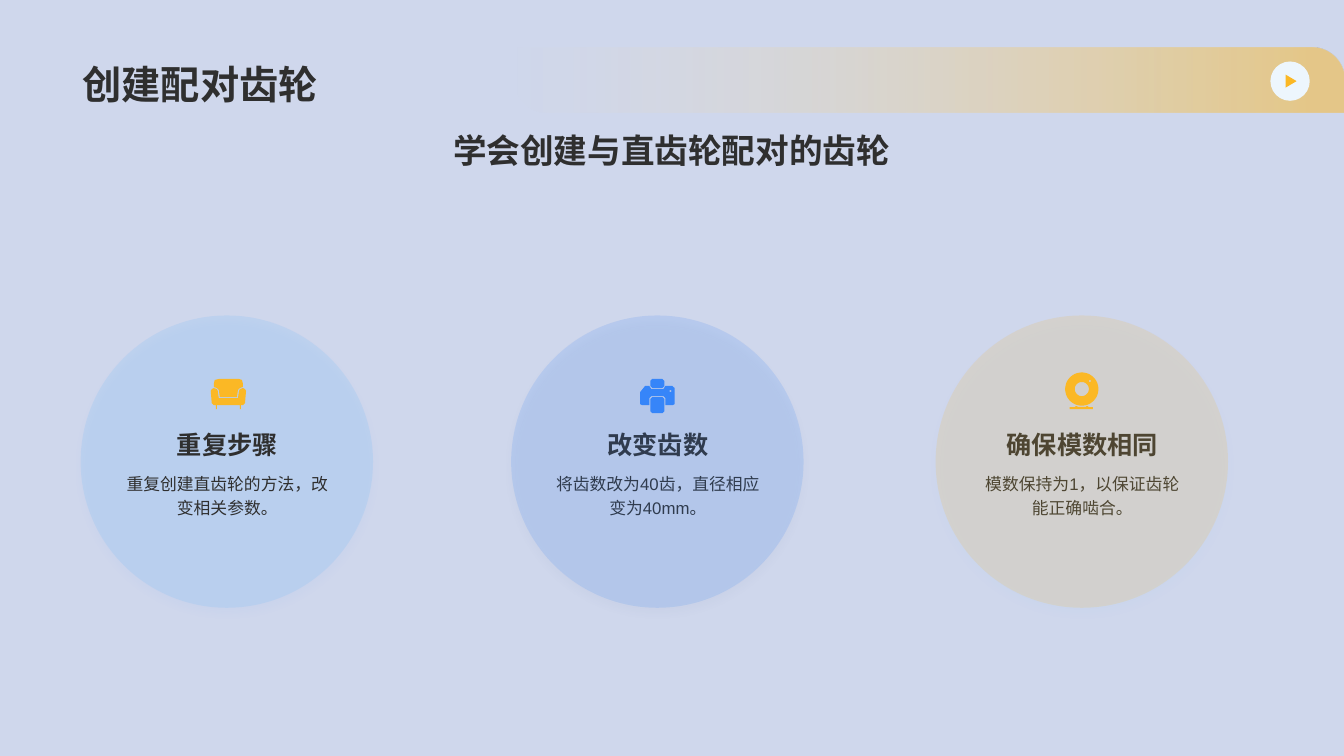
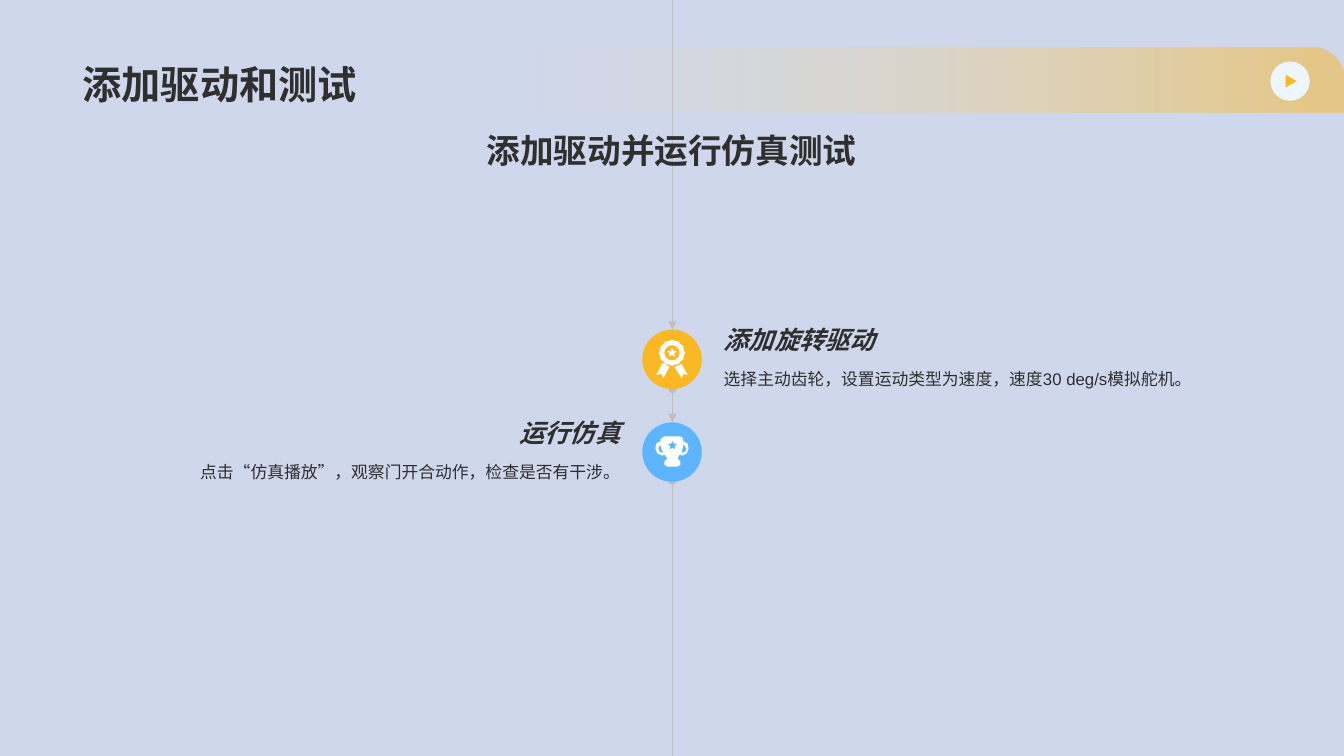
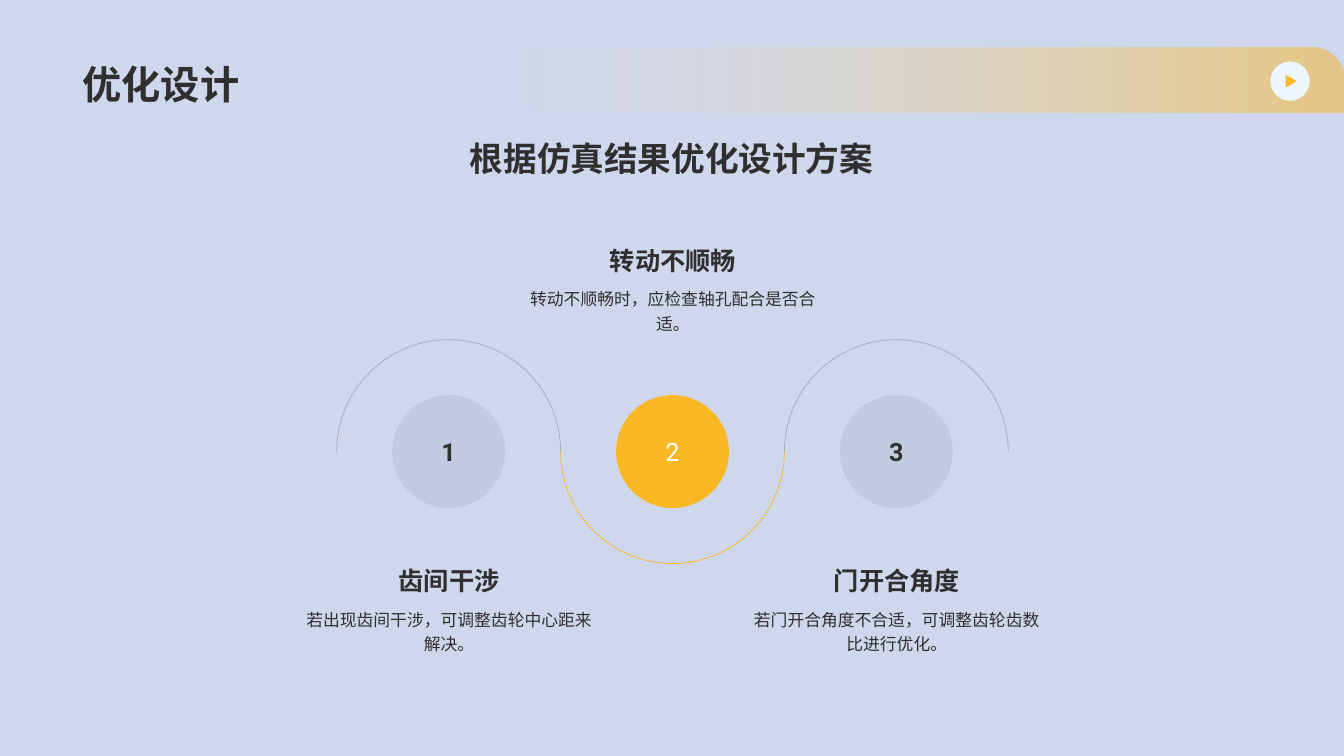
from math import cos, pi, sin

from lxml import etree
from pptx import Presentation
from pptx import util as u
from pptx.dml.color import RGBColor
from pptx.enum import shapes, text
from pptx.oxml.ns import qn

PX = 9144  # 100 px to the inch
WIDTH, HEIGHT = 1333, 750

BACKGROUND = RGBColor(0xCF, 0xD7, 0xEC)
INK = RGBColor(0x2F, 0x2F, 0x2F)
WHITE = RGBColor(0xFF, 0xFF, 0xFF)
PALE = RGBColor(0xED, 0xF6, 0xFD)
CREAM = RGBColor(0xFD, 0xE3, 0xA8)
AMBER = RGBColor(0xFB, 0xB8, 0x25)
SKY = RGBColor(0x5D, 0xB5, 0xFF)
BLUE = RGBColor(0x36, 0x85, 0xF9)
NAVY = RGBColor(0x31, 0x47, 0x7F)
SLATE = RGBColor(0x77, 0x84, 0x95)
GREY = RGBColor(0xBF, 0xBF, 0xBF)

LEFT, CENTER, RIGHT = text.PP_ALIGN.LEFT, text.PP_ALIGN.CENTER, text.PP_ALIGN.RIGHT
TOP, MIDDLE, BOTTOM = text.MSO_ANCHOR.TOP, text.MSO_ANCHOR.MIDDLE, text.MSO_ANCHOR.BOTTOM
PRESET = shapes.MSO_SHAPE


def paint(shape, color=None, alpha=100):
    """Give a shape a plain fill (none without a colour), no line and no shadow."""
    shape.shadow.inherit = False
    shape.line.fill.background()
    if color is None:
        shape.fill.background()
        return
    shape.fill.solid()
    shape.fill.fore_color.rgb = color
    if alpha < 100:
        fill_color = shape.element.spPr.find(".//" + qn("a:srgbClr"))
        etree.SubElement(fill_color, qn("a:alpha"), val=str(alpha * 1000))


def write(shape, words, size, align=CENTER, anchor=TOP, bold=False, italic=None,
          color=INK, font_name="Arial", spacing=None):
    frame = shape.text_frame
    frame.word_wrap = True
    frame.vertical_anchor = anchor
    frame.text = words
    paragraph = frame.paragraphs[0]
    paragraph.alignment = align
    paragraph.line_spacing = spacing
    font = paragraph.font
    font.name, font.size, font.bold, font.italic = font_name, u.Pt(size), bold, italic
    font.color.rgb = color


presentation = Presentation()
presentation.slide_width, presentation.slide_height = WIDTH * PX, HEIGHT * PX

# Shared look: background and title band on the layout, titles on the slides
layout = presentation.slide_layouts[5]
layout.background.fill.solid()
layout.background.fill.fore_color.rgb = BACKGROUND
for placeholder in list(layout.placeholders):
    if placeholder.placeholder_format.idx:
        layout.shapes.element.remove(placeholder.element)

headers = [
    ("创建配对齿轮", "学会创建与直齿轮配对的齿轮", 124),
    ("添加驱动和测试", "添加驱动并运行仿真测试", 124),
    ("优化设计", "根据仿真结果优化设计方案", 132),
]
slides = []
for title_words, subtitle_words, subtitle_top in headers:
    slide = presentation.slides.add_slide(layout)
    title = slide.shapes.title
    title.left, title.top, title.width, title.height = [v * PX for v in (72, 14, 1188, 98)]
    write(title, title_words, 28, LEFT, BOTTOM, bold=True)
    slides.append(slide)
gears_slide, test_slide, tuning_slide = slides

band_parts = []
for preset, box, color in [
    (PRESET.ROUND_2_DIAG_RECTANGLE, (510, 47, 823, 65), AMBER),
    (PRESET.OVAL, (1260, 61, 39, 39), PALE),
    (PRESET.ISOSCELES_TRIANGLE, (1274, 75, 13, 11), AMBER),
]:
    part = gears_slide.shapes.add_shape(preset, *[v * PX for v in box])
    paint(part, color)
    band_parts.append(part)
band, button, play_mark = band_parts
play_mark.rotation = 90
band.adjustments[0], band.adjustments[1] = 0, 0.5
band.fill.gradient()
band.fill.gradient_angle = 0
for stop, position, color, alpha in zip(
        band.fill.gradient_stops, (0, 0.96), (CREAM, AMBER), (0, 50)):
    stop.position = position
    stop.color.rgb = color
for stop_color, alpha in zip(band.element.spPr.iter(qn("a:srgbClr")), (0, 50)):
    etree.SubElement(stop_color, qn("a:alpha"), val=str(alpha * 1000))
for part in band_parts:
    layout.shapes.element.append(part.element)

# Slide 1: three circles; the last two lie over their text
circles = [
    (80, "重复步骤", "重复创建直齿轮的方法，改变相关参数。", SKY, BLUE, False),
    (507, "改变齿数", "将齿数改为40齿，直径相应变为40mm。", BLUE, NAVY, True),
    (928, "确保模数相同", "模数保持为1，以保证齿轮能正确啮合。", AMBER, SKY, True),
]
for left, heading, body, color, shadow_color, over_text in circles:
    circle = gears_slide.shapes.add_shape(PRESET.OVAL, *[v * PX for v in (left, 313, 290, 290)])
    paint(circle, color, 15)
    effects = circle.element.spPr.find(qn("a:effectLst"))
    shadow = etree.SubElement(effects, qn("a:outerShdw"), blurRad=str(u.Pt(6)),
                              dist=str(u.Pt(4)), dir="5400000", algn="t", rotWithShape="0")
    shade = etree.SubElement(shadow, qn("a:srgbClr"), val=str(shadow_color))
    etree.SubElement(shade, qn("a:alpha"), val="20000")
    box = gears_slide.shapes.add_textbox(*[v * PX for v in (left + 34, 422, 223, 39)])
    write(box, heading, 18, anchor=BOTTOM, bold=True)
    box = gears_slide.shapes.add_textbox(*[v * PX for v in (left + 34, 461, 223, 111)])
    write(box, body, 12, spacing=1.2)
    if over_text:
        gears_slide.shapes.element.append(circle.element)

# Slide 2: timeline down the middle
MIDDLE_X, BADGE = 667, 59
timeline = [
    (0, 327, {"tailEnd": "triangle"}),
    (386, 419, {"headEnd": "oval", "tailEnd": "triangle"}),
    (477, HEIGHT, {"headEnd": "oval"}),
]
for start, end, line_ends in timeline:
    connector = test_slide.shapes.add_connector(
        shapes.MSO_CONNECTOR.STRAIGHT, *[v * PX for v in (MIDDLE_X, start, MIDDLE_X, end)])
    connector.line.color.rgb = GREY
    connector.line.width = u.Pt(0.25)
    properties = connector.element.spPr
    for tag, kind in line_ends.items():
        etree.SubElement(properties.find(qn("a:ln")), qn("a:" + tag), type=kind)
    etree.SubElement(properties, qn("a:effectLst"))

steps = [
    (327, 708, LEFT, "添加旋转驱动", "选择主动齿轮，设置运动类型为速度，速度30 deg/s模拟舵机。", AMBER),
    (419, 142, RIGHT, "运行仿真", "点击“仿真播放”，观察门开合动作，检查是否有干涉。", SKY),
]
for top, left, align, heading, body, color in steps:
    box = test_slide.shapes.add_textbox(*[v * PX for v in (left, top - 58, 483, 88)])
    write(box, heading, 18, align, BOTTOM, bold=True, italic=True)
    box = test_slide.shapes.add_textbox(*[v * PX for v in (left, top + 30, 483, 177)])
    write(box, body, 12, align, spacing=1.2)
    badge = test_slide.shapes.add_shape(PRESET.OVAL, *[v * PX for v in (637, top, BADGE, BADGE)])
    paint(badge, color)

# Slide 3: a wave of half circles around numbered discs
STEP, DISC = 222, 112
UPPER_HALF, LOWER_HALF = (108, 0), (0, 108)  # arc ends, 108 being half a turn
issues = [
    ("齿间干涉", "若出现齿间干涉，可调整齿轮中心距来解决。", 547, UPPER_HALF),
    ("转动不顺畅", "转动不顺畅时，应检查轴孔配合是否合适。", 229, LOWER_HALF),
    ("门开合角度", "若门开合角度不合适，可调整齿轮齿数比进行优化。", 547, UPPER_HALF),
]
for index, (heading, body, top, half) in enumerate(issues):
    center = MIDDLE_X + (index - 1) * STEP
    highlighted = half == LOWER_HALF
    arc = tuning_slide.shapes.add_shape(
        PRESET.ARC, *[v * PX for v in (center - STEP // 2, 337, STEP, STEP)])
    paint(arc)
    arc.adjustments[0], arc.adjustments[1] = half
    arc.line.color.rgb = AMBER if highlighted else SLATE
    arc.line.width = u.Pt(0.5)
    if not highlighted:
        line_color = arc.element.spPr.find(".//" + qn("a:srgbClr"))
        etree.SubElement(line_color, qn("a:alpha"), val="50000")
    disc = tuning_slide.shapes.add_shape(
        PRESET.OVAL, *[v * PX for v in (center - DISC // 2, 392, DISC, DISC)])
    paint(disc, AMBER if highlighted else SLATE, 100 if highlighted else 15)
    write(disc, str(index + 1), 18, anchor=MIDDLE, bold=not highlighted,
          color=WHITE if highlighted else INK, font_name="Roboto")
    box = tuning_slide.shapes.add_textbox(*[v * PX for v in (center - 158, top, 317, 49)])
    write(box, heading, 18, anchor=BOTTOM, bold=True)
    box = tuning_slide.shapes.add_textbox(*[v * PX for v in (center - 158, top + 49, 317, 75)])
    write(box, body, 12, spacing=1.2)

for slide, (_, subtitle_words, subtitle_top) in zip(slides, headers):
    box = slide.shapes.add_textbox(*[v * PX for v in (72, subtitle_top, 1188, 50)])
    write(box, subtitle_words, 24, bold=True)

# Icons: a list holds outline points, a tuple is a round or star outline
# (centre x, centre y, outer radius, inner radius, corners)
armchair = [
    [(241, 385), (243, 386), (244, 388), (243, 400), (241, 402), (239, 402), (239, 406),
     (238, 406), (238, 402), (215, 402), (215, 406), (214, 406), (214, 402), (212, 402),
     (210, 400), (209, 388), (210, 386), (212, 385), (215, 386), (216, 388), (217, 395),
     (236, 395), (237, 388), (238, 386)],
    [(237, 376), (240, 377), (241, 381), (241, 384), (238, 385), (236, 387), (235, 394),
     (218, 394), (217, 387), (215, 385), (212, 384), (212, 381), (213, 377), (217, 376)],
]
printer = [
    [(647, 394), (657, 394), (659, 396), (659, 408), (657, 410), (647, 410), (645, 408),
     (645, 396)],
    [(644, 383), (646, 386), (658, 386), (660, 383), (667, 383), (669, 385), (669, 401),
     (667, 402), (660, 402), (660, 395), (658, 393), (646, 393), (644, 395), (644, 402),
     (637, 402), (635, 401), (635, 389), (639, 384), (640, 383)],
    (665, 388, 1, 1, 12),
    [(647, 376), (657, 376), (659, 378), (659, 383), (657, 385), (647, 385), (645, 383),
     (645, 378)],
]
webcam = [
    (1073, 386, 16.5, 16.5, 60),
    (1073, 386, 7, 7, 40),
    (1081, 378, 1, 1, 12),
    [(1066, 404), (1067, 403), (1079, 403), (1080, 404), (1084, 404), (1084, 406),
     (1061, 406), (1061, 404)],
    [(1069, 403), (1077, 403), (1078, 404), (1068, 404)],
]
medal = [
    [(676, 361), (682, 372), (678, 371), (676, 375), (669, 364), (672, 363)],
    [(657, 360), (659, 361), (664, 364), (658, 375), (656, 371), (651, 372)],
    (666.5, 350, 13, 12, 24),
    (666.5, 350, 7.5, 7.5, 40),
    (666.5, 350, 5, 2.3, 10),
]
trophy = [
    [(655, 438), (655, 436), (657, 434), (659, 433), (674, 433), (677, 434), (678, 438),
     (682, 440), (683, 445), (681, 450), (677, 452), (674, 451), (672, 455), (675, 458),
     (675, 461), (672, 463), (662, 463), (659, 461), (659, 458), (662, 455), (659, 451),
     (657, 452), (652, 450), (650, 445), (651, 440)],
    [(657, 449), (654, 448), (653, 445), (655, 441), (656, 445), (658, 449)],
    [(677, 449), (680, 448), (681, 445), (678, 441), (677, 445), (676, 449)],
    (667, 442, 5, 2.3, 10),
]
DETAIL = 10  # freeform units in one px
for slide, outlines, color in [
    (gears_slide, armchair, AMBER),
    (gears_slide, printer, BLUE),
    (gears_slide, webcam, AMBER),
    (test_slide, medal, WHITE),
    (test_slide, trophy, WHITE),
]:
    builder = None
    for outline in outlines:
        if isinstance(outline, tuple):
            x, y, outer, inner, corners = outline
            angles = [2 * pi * corner / corners for corner in range(corners)]
            radii = [outer, inner] * (corners // 2)
            outline = [(x + r * sin(a), y - r * cos(a)) for r, a in zip(radii, angles)]
        points = [(round(x * DETAIL), round(y * DETAIL)) for x, y in outline]
        if builder is None:
            builder = slide.shapes.build_freeform(*points[0], scale=PX / DETAIL)
        else:
            builder.move_to(*points[0])
        builder.add_line_segments(points[1:], close=True)
    paint(builder.convert_to_shape(), color)

presentation.save("out.pptx")
